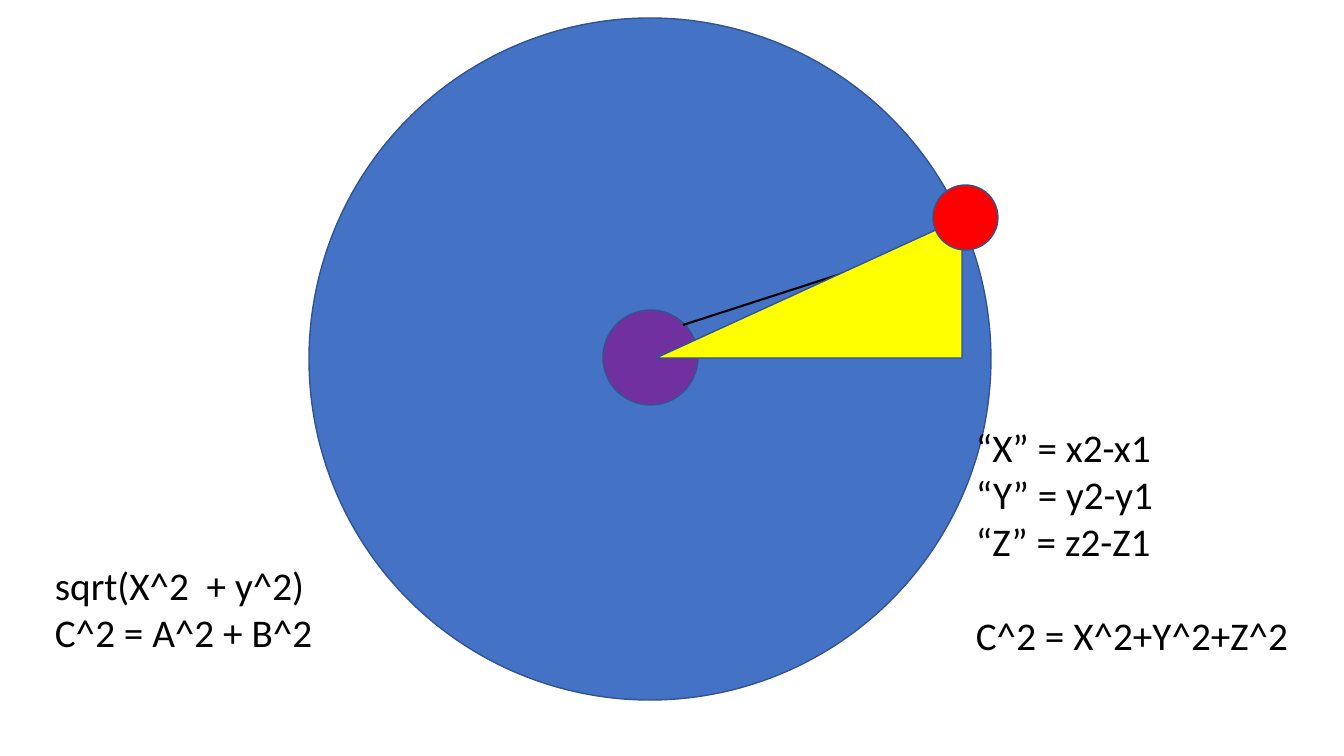
from lxml.etree import SubElement
from pptx import Presentation
from pptx.dml.color import RGBColor
from pptx.enum.shapes import MSO_CONNECTOR, MSO_SHAPE
from pptx.enum.text import MSO_AUTO_SIZE as AUTO_SIZE
from pptx.oxml.ns import qn
from pptx.util import Pt

SCALE = 914400 / 100.8
COLORS = {"disc": "4472C4", "hub": "7030A0", "triangle": "FFFF00",
          "marker": "FF0000", "outline": "325491", "ink": "000000"}
FONT = {"name": "Calibri", "size": Pt(28)}
BLANK_LINE = Pt(34)


def px(*lengths):
    """Turn pixels into EMU."""
    return [round(n * SCALE) for n in lengths]


class Sketch:
    """Holds the style and the current slide."""

    def __init__(self, prs):
        """Add a blank slide to draw on."""
        self.slide = prs.slides.add_slide(prs.slide_layouts[6])
        self.shapes = self.slide.shapes

    def color(self, name):
        """Look up a named colour."""
        return RGBColor.from_string(COLORS[name])

    def stroke(self, line, name, width):
        """Set a line's colour and width in points."""
        line.color.rgb = self.color(name)
        line.width = Pt(width)

    def shape(self, kind, box, fill):
        """Draw a filled, outlined preset shape."""
        sp = self.shapes.add_shape(kind, *px(*box))
        sp.shadow.inherit = False
        sp.fill.solid()
        sp.fill.fore_color.rgb = self.color(fill)
        self.stroke(sp.line, "outline", 1)
        return sp

    def circle(self, left, top, size, fill):
        """Draw a circle from its corner and diameter."""
        return self.shape(MSO_SHAPE.OVAL, (left, top, size, size), fill)

    def arrow(self, start, end):
        """Draw a straight arrow."""
        cx = self.shapes.add_connector(MSO_CONNECTOR.STRAIGHT, *px(*start, *end))
        self.stroke(cx.line, "ink", 1.5)
        SubElement(cx.line._get_or_add_ln(), qn("a:tailEnd"), type="triangle")
        SubElement(cx._element.spPr, qn("a:effectLst"))

    def text(self, box, lines):
        """Write one paragraph per line and return the paragraphs."""
        tf = self.shapes.add_textbox(*px(*box)).text_frame
        tf.word_wrap = True
        tf.auto_size = AUTO_SIZE.SHAPE_TO_FIT_TEXT
        tf.text = "\n".join(lines)
        for p in tf.paragraphs:
            for r in p.runs:
                for key, value in FONT.items():
                    setattr(r.font, key, value)
                r.font.color.rgb = self.color("ink")
        return tf.paragraphs


prs = Presentation()
prs.slide_width, prs.slide_height = px(1344, 756)
sketch = Sketch(prs)

sketch.circle(309, 18, 682, "disc")
sketch.circle(603, 310, 95, "hub")
sketch.arrow((683, 325), (943, 241))
triangle = sketch.shape(MSO_SHAPE.ISOSCELES_TRIANGLE, (656, 218, 306, 140), "triangle")
triangle.adjustments[0] = 1
sketch.text((45, 556, 590, 105), ["sqrt(X^2  + y^2)", "C^2 = A^2 + B^2"])
sketch.circle(933, 185, 65, "marker")
formulas = sketch.text((966, 418, 406, 248), [
    "“X” = x2-x1", "“Y” = y2-y1", "“Z” = z2-Z1", "C^2 = X^2+Y^2+Z^2"])
formulas[-1].space_before = BLANK_LINE

prs.save("out.pptx")
